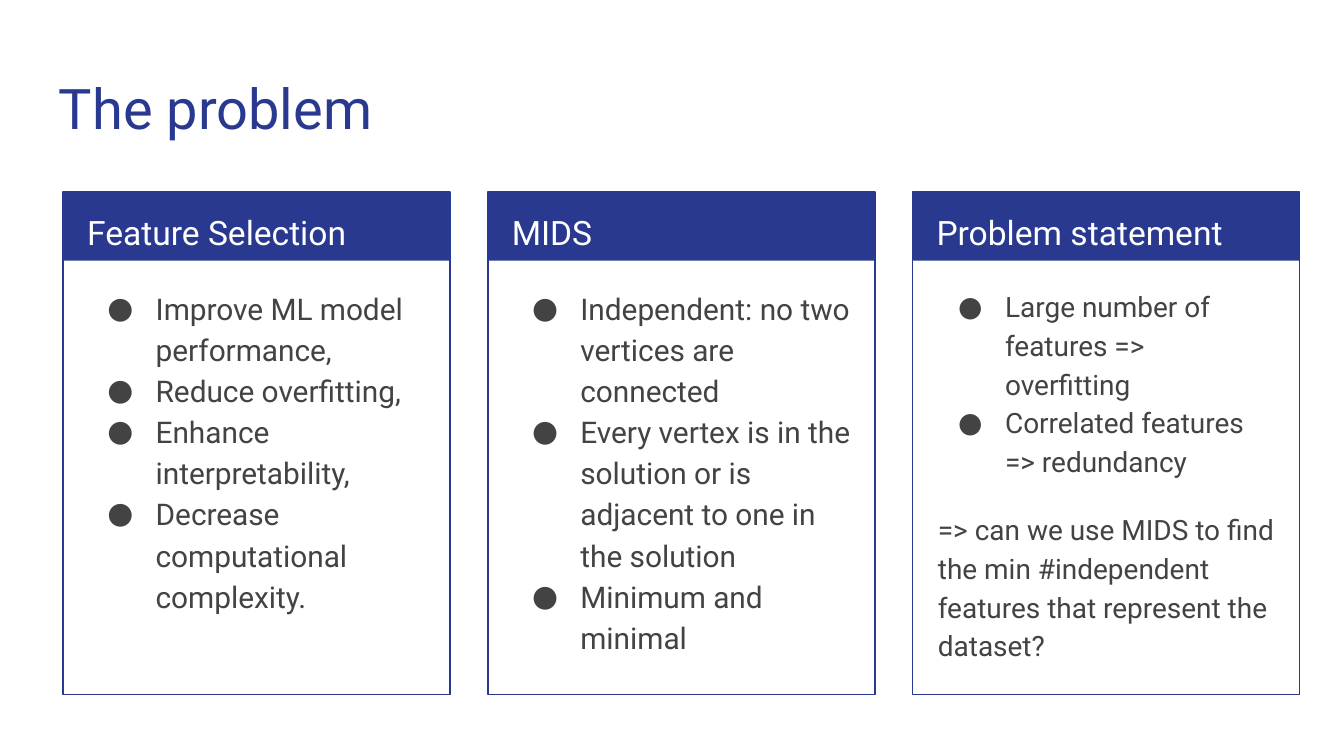
from lxml.etree import SubElement as Sub
from pptx import Presentation
from pptx.dml.color import RGBColor as Rgb
from pptx.enum.shapes import MSO_SHAPE as Kind
from pptx.oxml.ns import qn
from pptx.util import Inches, Pt

# Content: head, bullet size, bullets, closing line
TITLE = "The problem"
CARDS = [
    ("Feature Selection", 16,
     ["Improve ML model performance,", "Reduce overfitting,",
      "Enhance interpretability,", "Decrease computational complexity."], None),
    ("MIDS", 16,
     ["Independent: no two vertices are connected",
      "Every vertex is in the solution or is adjacent to one in the solution",
      "Minimum and minimal"], None),
    ("Problem statement", 15,
     ["Large number of features => overfitting",
      "Correlated features => redundancy"],
     "=> can we use MIDS to find the min #independent features "
     "that represent the dataset?"),
]

THEME = {
    "font": "Roboto", "title": 30, "head": 18,
    "blue": Rgb.from_string("2A3990"),
    "grey": Rgb.from_string("434343"),
    "white": Rgb.from_string("FFFFFF"),
}

# Grid in inches, on a 16:9 slide
WIDE = 10
HIGH = WIDE * 9 / 16
LEFT, TOP, STEP = 0.47, 1.43, 3.16
CARD_W, CARD_H, HEAD_H = 2.88, 3.74, 0.51
HEAD_PAD, HEAD_W = 0.08, 2.73
BODY_PAD, BODY_W = 0.09, 2.71
BODY_TOP, BODY_H = TOP + 0.59, 3.06

deck = Presentation()
deck.slide_width, deck.slide_height = Inches(WIDE), Inches(HIGH)
slide = deck.slides.add_slide(deck.slide_layouts[6])


def add_rect(x, y, w, h, fill=None, line=None):
    rect = slide.shapes.add_shape(Kind.RECTANGLE, *map(Inches, (x, y, w, h)))
    rect.shadow.inherit = False
    if fill is None:
        rect.fill.background()
    else:
        rect.fill.solid()
        rect.fill.fore_color.rgb = fill
    if line is None:
        rect.line.fill.background()
    else:
        rect.line.color.rgb = line
        rect.line.width = Pt(0.75)


def add_text(x, y, w, h, lines, size, color, space=1.15):
    frame = slide.shapes.add_textbox(*map(Inches, (x, y, w, h))).text_frame
    frame.word_wrap = True
    frame.margin_left = frame.margin_right = Inches(0.1)
    frame.margin_top = frame.margin_bottom = Inches(0.1)
    for i, line in enumerate(lines):
        para = frame.add_paragraph() if i else frame.paragraphs[0]
        para.text = line
        para.line_spacing = space
        font = para.font
        font.name, font.size = THEME["font"], Pt(size)
        font.color.rgb = color
    return frame.paragraphs


def add_bullet(para, size):
    props = para._p.get_or_add_pPr()
    props.set("marL", str(Inches(0.5)))
    props.set("indent", str(-Inches(0.2 + size / 100)))
    tint = Sub(props, qn("a:buClr"))
    Sub(tint, qn("a:srgbClr")).set("val", str(THEME["grey"]))
    Sub(props, qn("a:buSzPts")).set("val", str(size * 100))
    Sub(props, qn("a:buFont")).set("typeface", THEME["font"])
    Sub(props, qn("a:buChar")).set("char", "●")
    # Default run properties come after the bullet
    props.append(props.find(qn("a:defRPr")))


# Title
add_text(0.34, 0.45, 9.32, 0.66, [TITLE], THEME["title"], THEME["blue"], 1)

# Cards
for col, (head, size, points, close) in enumerate(CARDS):
    x = LEFT + col * STEP
    add_rect(x, TOP, CARD_W, HEAD_H, fill=THEME["blue"])
    add_rect(x, TOP, CARD_W, CARD_H, line=THEME["blue"])
    add_text(x + HEAD_PAD, TOP, HEAD_W, HEAD_H,
             [head], THEME["head"], THEME["white"])
    lines = points + ([close] if close else [])
    paras = add_text(x + BODY_PAD, BODY_TOP, BODY_W, BODY_H,
                     lines, size, THEME["grey"])
    for para in paras[:len(points)]:
        add_bullet(para, size)
    if close:
        paras[-1].space_before = paras[-1].space_after = Pt(16)

deck.save("out.pptx")
